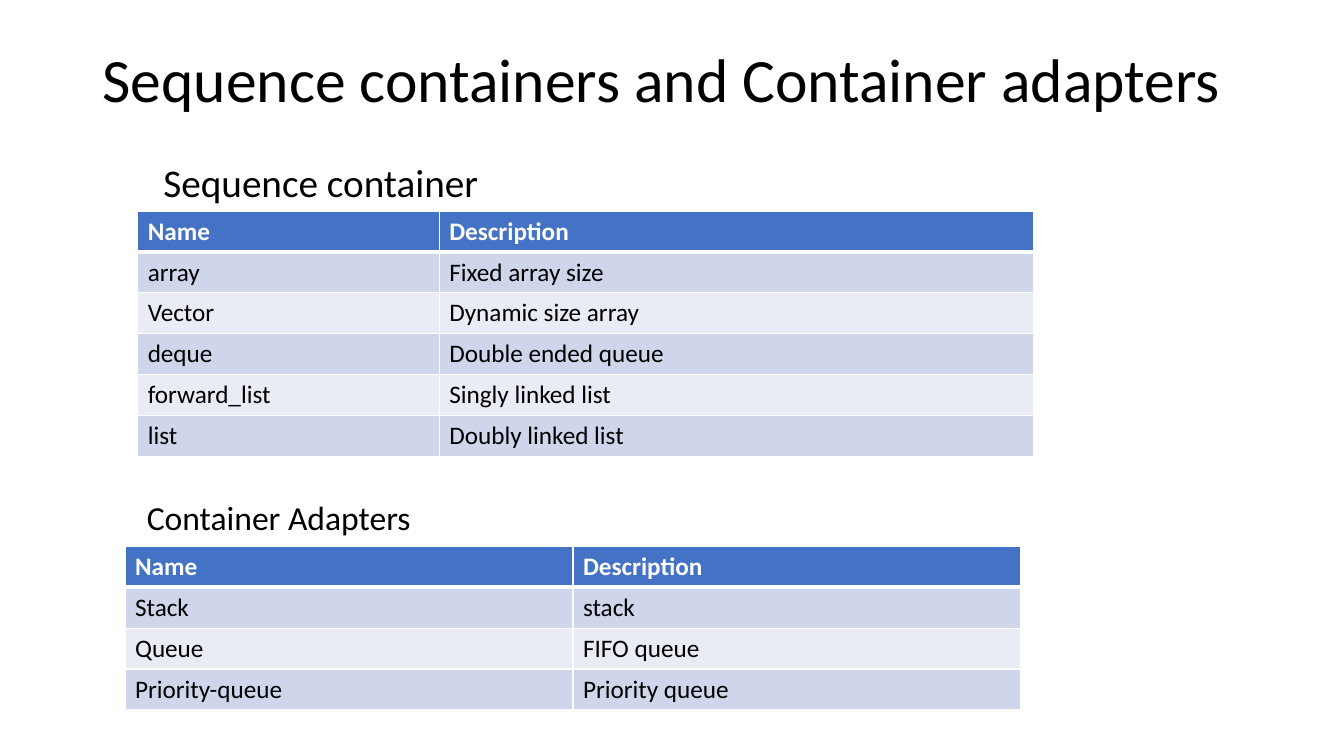
from dataclasses import dataclass

from lxml import etree
from pptx import Presentation
from pptx import util as u
from pptx.dml.color import RGBColor
from pptx.enum import text
from pptx.oxml import ns


@dataclass(frozen=True)
class Theme:
    font: str = "Calibri"
    ink: str = "000000"
    paper: str = "FFFFFF"
    header: str = "4472C4"
    bands: tuple = ("CFD5EA", "E9EBF5")
    title_size: int = 44
    cell_size: int = 18
    grid_line: int = 1
    header_line: int = 3


THEME = Theme()
ROW_HEIGHT = 1.03

SEQUENCE_ROWS = [
    ("Name", "Description"),
    ("array", "Fixed array size"),
    ("Vector", "Dynamic size array"),
    ("deque", "Double ended queue"),
    ("forward_list", "Singly linked list"),
    ("list", "Doubly linked list"),
]
ADAPTER_ROWS = [
    ("Name", "Description"),
    ("Stack", "stack"),
    ("Queue", "FIFO queue"),
    ("Priority-queue", "Priority queue"),
]


def write(frame, words, *, size, color=THEME.ink, bold=False, spacing=None):
    para = frame.paragraphs[0]
    para.alignment = text.PP_ALIGN.LEFT
    if spacing:
        para.line_spacing = spacing
    span = para.add_run()
    span.text = words
    span.font.name = THEME.font
    span.font.size = u.Pt(size)
    span.font.bold = bold
    span.font.color.rgb = RGBColor.from_string(color)


def add_borders(cell, **widths):
    """Draw the cell's sides, given in the order L, R, T, B, in points."""
    properties = cell._tc.get_or_add_tcPr()
    for side, width in widths.items():
        line = etree.SubElement(properties, ns.qn(f"a:ln{side}"), w=str(u.Pt(width)))
        fill = etree.SubElement(line, ns.qn("a:solidFill"))
        etree.SubElement(fill, ns.qn("a:srgbClr"), val=THEME.paper)


def place_title(page, words, left, top, width, height):
    title = page.shapes.title
    title.left, title.top = u.Cm(left), u.Cm(top)
    title.width, title.height = u.Cm(width), u.Cm(height)
    frame = title.text_frame
    frame.auto_size = text.MSO_AUTO_SIZE.NONE
    frame.vertical_anchor = text.MSO_ANCHOR.MIDDLE
    write(frame, words, size=THEME.title_size, spacing=0.9)


def place_heading(page, words, left, top, width, height, size):
    box = page.shapes.add_textbox(u.Cm(left), u.Cm(top), u.Cm(width), u.Cm(height))
    box.text_frame.word_wrap = False
    box.text_frame.auto_size = text.MSO_AUTO_SIZE.SHAPE_TO_FIT_TEXT
    write(box.text_frame, words, size=size)


def place_table(page, rows, left, top, columns):
    table = page.shapes.add_table(
        len(rows), len(columns), u.Cm(left), u.Cm(top),
        u.Cm(sum(columns)), u.Cm(ROW_HEIGHT * len(rows))).table
    for column, width in zip(table.columns, columns):
        column.width = u.Cm(width)
    thin, thick = THEME.grid_line, THEME.header_line
    for i, row in enumerate(rows):
        table.rows[i].height = u.Cm(ROW_HEIGHT)
        is_header = i == 0
        fill = THEME.header if is_header else THEME.bands[(i - 1) % 2]
        for j, words in enumerate(row):
            cell = table.cell(i, j)
            add_borders(cell, L=thin, R=thin, T=thick if i == 1 else thin,
                        B=thick if is_header else thin)
            cell.fill.solid()
            cell.fill.fore_color.rgb = RGBColor.from_string(fill)
            write(cell.text_frame, words, size=THEME.cell_size, bold=is_header,
                  color=THEME.paper if is_header else THEME.ink)


def main():
    deck = Presentation()
    deck.slide_width, deck.slide_height = u.Cm(33.87), u.Cm(19.05)
    page = deck.slides.add_slide(deck.slide_layouts.get_by_name("Title Only"))
    place_title(page, "Sequence containers and Container adapters",
                2.33, 1.01, 29.21, 2.16)
    place_table(page, SEQUENCE_ROWS, 3.47, 5.32, (7.6, 14.98))
    place_heading(page, "Sequence container", 3.87, 3.87, 8.53, 1.45, 28)
    place_table(page, ADAPTER_ROWS, 3.15, 13.77, (11.29, 11.29))
    place_heading(page, "Container Adapters", 3.45, 12.4, 7.21, 1.28, 24)
    deck.save("out.pptx")


if __name__ == "__main__":
    main()
